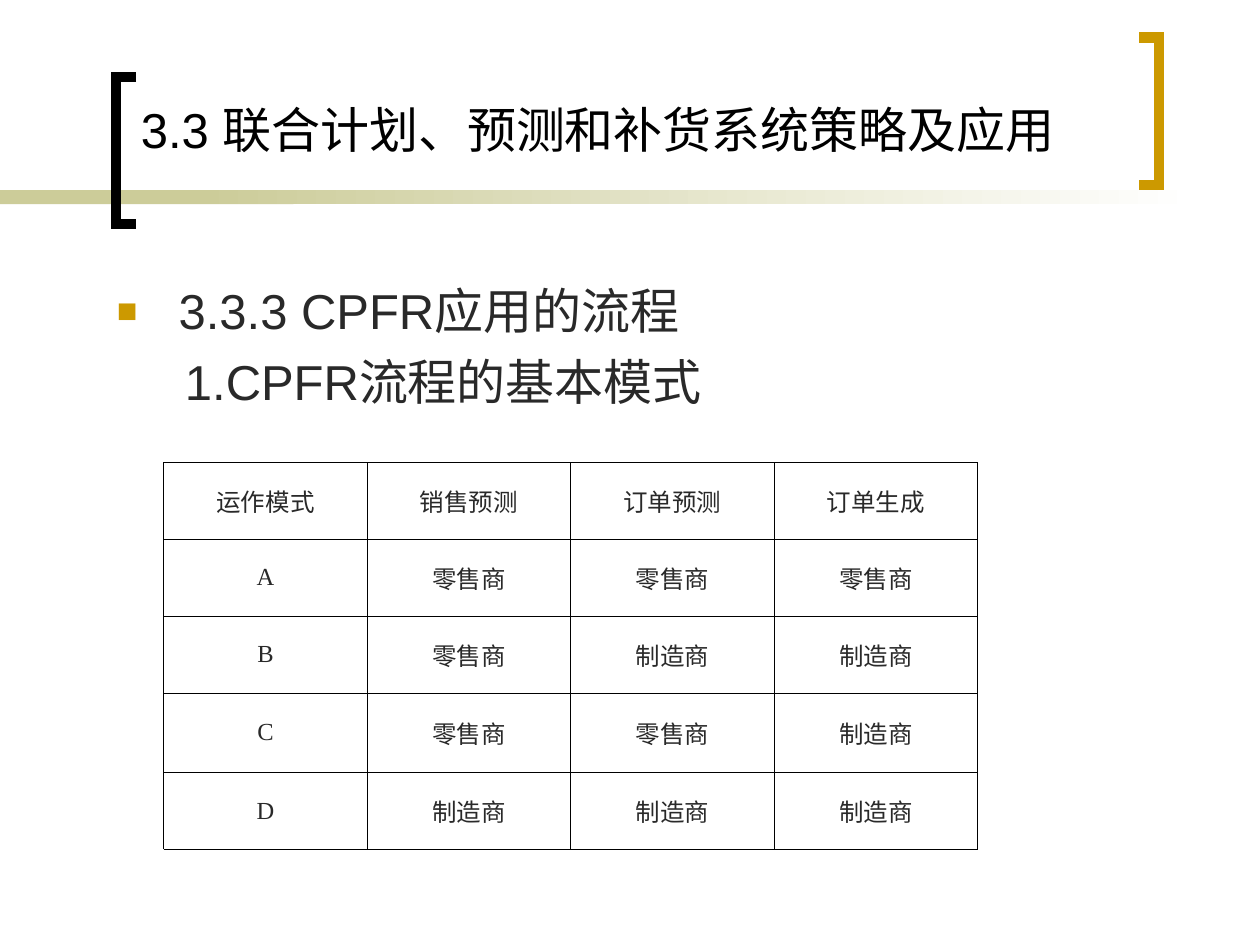
from dataclasses import dataclass

from lxml.etree import SubElement
from pptx import Presentation
from pptx.dml.color import RGBColor as Color
from pptx.enum.shapes import MSO_SHAPE as Shape
from pptx.enum.text import MSO_ANCHOR as Anchor, PP_ALIGN as Align
from pptx.oxml.ns import qn
from pptx.util import Inches, Pt


@dataclass(frozen=True)
class Theme:
    black: str = "000000"
    gold: str = "CC9900"
    sand: str = "CCCC99"
    white: str = "FFFFFF"
    ink: str = "292929"
    sans: str = "Arial"
    serif: str = "Times New Roman"
    heading_size: int = 28
    table_size: int = 14
    bracket_width: int = 6
    border_width: float = 0.4


THEME = Theme()
HEADING = {"name": THEME.sans, "size": Pt(THEME.heading_size)}
TABLE_TEXT = {"name": THEME.serif, "size": Pt(THEME.table_size)}

MODES = [
    ["运作模式", "销售预测", "订单预测", "订单生成"],
    ["A", "零售商", "零售商", "零售商"],
    ["B", "零售商", "制造商", "制造商"],
    ["C", "零售商", "零售商", "制造商"],
    ["D", "制造商", "制造商", "制造商"],
]


def apply(target, values):
    for name, value in values.items():
        setattr(target, name, value)


def write(paragraph, text, font_values, color):
    run = paragraph.add_run()
    run.text = text
    apply(run.font, font_values)
    run.font.color.rgb = Color.from_string(color)


def add_text_frame(slide, box, anchor):
    frame = slide.shapes.add_textbox(*map(Inches, box)).text_frame
    apply(frame, {"word_wrap": True, "vertical_anchor": anchor})
    return frame


def add_band(slide, box, solid_width, fade_left):
    """Solid strip on the left, fading strip over the rest."""
    left, top, width, height = box
    strips = [(left, solid_width), (fade_left, left + width - fade_left)]
    for index, (strip_left, strip_width) in enumerate(strips):
        strip = slide.shapes.add_shape(
            Shape.RECTANGLE, *map(Inches, (strip_left, top, strip_width, height)))
        strip.shadow.inherit = False
        strip.line.fill.background()
        if index == 0:
            strip.fill.solid()
            strip.fill.fore_color.rgb = Color.from_string(THEME.sand)
        else:
            strip.fill.gradient()
            strip.fill.gradient_angle = 0
            for stop, color in zip(strip.fill.gradient_stops, (THEME.sand, THEME.white)):
                stop.color.rgb = Color.from_string(color)


def add_bracket(slide, box, color, opens_right):
    left, top, width, height = box
    tip, spine = (left + width, left) if opens_right else (left, left + width)
    builder = slide.shapes.build_freeform(Inches(tip), Inches(top))
    corners = [(spine, top), (spine, top + height), (tip, top + height)]
    builder.add_line_segments([(Inches(x), Inches(y)) for x, y in corners], close=False)
    bracket = builder.convert_to_shape()
    bracket.shadow.inherit = False
    bracket.fill.background()
    bracket.line.width = Pt(THEME.bracket_width)
    bracket.line.color.rgb = Color.from_string(color)
    SubElement(bracket.line._get_or_add_ln(), qn("a:miter"), lim="800000")


def add_title(slide, box):
    frame = add_text_frame(slide, box, Anchor.BOTTOM)
    write(frame.paragraphs[0], "3.3 联合计划、预测和补货系统策略及应用", HEADING, THEME.black)


def add_bullet(properties):
    color = SubElement(properties, qn("a:buClr"))
    SubElement(color, qn("a:srgbClr"), val=THEME.gold)
    SubElement(properties, qn("a:buSzPct"), val="70000")
    SubElement(properties, qn("a:buFont"), typeface=THEME.sans)
    SubElement(properties, qn("a:buChar"), char="■")


def add_outline(slide, box):
    """Bulleted section heading with an indented subheading."""
    frame = add_text_frame(slide, box, Anchor.TOP)
    lines = [("3.3.3 CPFR应用的流程", 0.49, -0.49), ("1.CPFR流程的基本模式", 0.54, 0)]
    for index, (text, margin, indent) in enumerate(lines):
        paragraph = frame.add_paragraph() if index else frame.paragraphs[0]
        paragraph.space_before = Pt(7)
        properties = paragraph._p.get_or_add_pPr()
        properties.set("marL", str(Inches(margin)))
        properties.set("indent", str(Inches(indent)))
        if indent:
            add_bullet(properties)
        write(paragraph, text, HEADING, THEME.ink)


def add_borders(cell):
    properties = cell._tc.get_or_add_tcPr()
    for index, side in enumerate(("a:lnL", "a:lnR", "a:lnT", "a:lnB")):
        line = properties.makeelement(qn(side), {"w": str(Pt(THEME.border_width))})
        fill = SubElement(line, qn("a:solidFill"))
        SubElement(fill, qn("a:srgbClr"), val=THEME.black)
        properties.insert(index, line)


def add_mode_table(slide, box, row_heights):
    shape = slide.shapes.add_table(len(MODES), len(MODES[0]), *map(Inches, box))
    table = shape.table
    apply(table, {"first_row": False, "horz_banding": False})
    for column in table.columns:
        column.width = Inches(box[2] / len(MODES[0]))
    for row, height, texts in zip(table.rows, row_heights, MODES):
        row.height = Inches(height)
        for cell, text in zip(row.cells, texts):
            cell.vertical_anchor = Anchor.MIDDLE
            cell.fill.background()
            add_borders(cell)
            paragraph = cell.text_frame.paragraphs[0]
            paragraph.alignment = Align.CENTER
            write(paragraph, text, TABLE_TEXT, THEME.ink)


def main():
    presentation = Presentation()
    apply(presentation, {"slide_width": Inches(10), "slide_height": Inches(7.5)})
    slide = presentation.slides.add_slide(presentation.slide_layouts[6])

    # Header decoration
    add_band(slide, (0, 1.51, 9.5, 0.11), solid_width=2.33, fade_left=1.58)
    add_bracket(slide, (0.92, 0.61, 0.16, 1.17), THEME.black, opens_right=True)
    add_bracket(slide, (9.04, 0.3, 0.16, 1.17), THEME.gold, opens_right=False)

    # Content
    add_title(slide, (1.02, 0.11, 7.83, 1.2))
    add_outline(slide, (0.83, 2.18, 6.54, 4.5))
    add_mode_table(slide, (1.3, 3.67, 6.46, 3.07), (0.61, 0.61, 0.61, 0.63, 0.61))

    presentation.save("out.pptx")


if __name__ == "__main__":
    main()
